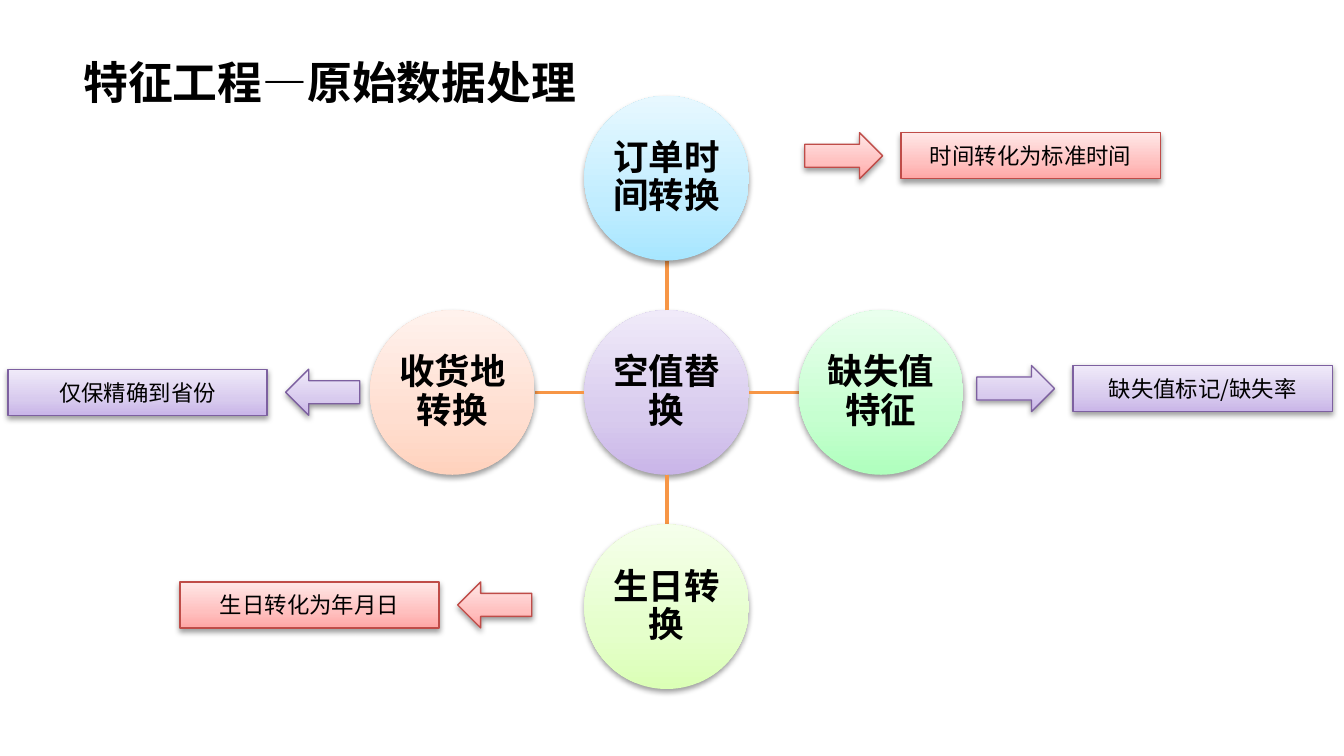
from dataclasses import dataclass

from lxml import etree
from pptx import Presentation, util as u
from pptx.dml.color import RGBColor
from pptx.enum import shapes, text
from pptx.oxml.ns import qn


@dataclass(frozen=True)
class Theme:
    font: str = "Noto Sans CJK SC"
    ink: str = "000000"
    link: str = "F79646"
    purple: tuple = ("C9B5E8", "D8CBEE", "F0EAF9")
    blue: tuple = ("A7E6FF", "C1EDFF", "E7F8FF")
    green: tuple = ("AFFFBD", "C6FFD0", "E9FFED")
    lime: tuple = ("DBFFB6", "E5FFCB", "F5FFEB")
    orange: tuple = ("FFD2BD", "FFDED0", "FFF2ED")
    red: tuple = ("FFA6A5", "FFC0BF", "FFE7E7")
    red_line: str = "BF4C48"
    purple_line: str = "7D60A0"
    title_size: int = 24
    circle_size: int = 19
    note_size: int = 12


THEME = Theme()
CENTER_X, CENTER_Y = 12.6, 7.42
DIAMETER, STEP = 3.11, 4.05
NOTE_WIDTH, NOTE_HEIGHT, NOTE_GAP = 4.9, 0.87, 0.35


def add_run(paragraph, content, size, bold=False):
    run = paragraph.add_run()
    run.text = content
    run.font.size = u.Pt(size)
    run.font.bold = bold
    run.font.color.rgb = RGBColor.from_string(THEME.ink)
    run.font.name = THEME.font
    etree.SubElement(run.font._element, qn("a:ea"), typeface=THEME.font)


def write_centered(shape, content, size, bold=False):
    frame = shape.text_frame
    frame.word_wrap = True
    frame.vertical_anchor = text.MSO_ANCHOR.MIDDLE
    paragraph = frame.paragraphs[0]
    paragraph.alignment = text.PP_ALIGN.CENTER
    add_run(paragraph, content, size, bold)
    return frame


def fill_gradient(shape, colors):
    shape.fill.gradient()
    shape.fill.gradient_angle = 90
    stops = shape._element.spPr.find(".//" + qn("a:gsLst"))
    for stop in list(stops):
        stops.remove(stop)
    for position, color in zip((0, 35000, 100000), colors):
        stop = etree.SubElement(stops, qn("a:gs"), pos=str(position))
        etree.SubElement(stop, qn("a:srgbClr"), val=color)


def add_shadow(shape):
    shape.shadow.inherit = False
    effects = shape._element.spPr.find(qn("a:effectLst"))
    shadow = etree.SubElement(
        effects, qn("a:outerShdw"), blurRad=str(u.Pt(3.1)), dist=str(u.Pt(1.6)),
        dir="5400000", rotWithShape="0")
    color = etree.SubElement(shadow, qn("a:srgbClr"), val=THEME.ink)
    etree.SubElement(color, qn("a:alpha"), val="38000")


def add_soft_shape(slide, kind, left, top, width, height, colors, line=None):
    shape = slide.shapes.add_shape(
        kind, u.Cm(left), u.Cm(top), u.Cm(width), u.Cm(height))
    fill_gradient(shape, colors)
    if line:
        shape.line.color.rgb = RGBColor.from_string(line)
        shape.line.width = u.Pt(0.75)
    else:
        shape.line.fill.background()
    add_shadow(shape)
    return shape


def add_title(slide, content):
    title = slide.shapes.title
    title.left, title.top = u.Cm(1.32), u.Cm(0.91)
    title.width, title.height = u.Cm(9.98), u.Cm(1.27)
    frame = title.text_frame
    frame.word_wrap = False
    frame.auto_size = text.MSO_AUTO_SIZE.NONE
    frame.vertical_anchor = text.MSO_ANCHOR.MIDDLE
    paragraph = frame.paragraphs[0]
    paragraph.alignment = text.PP_ALIGN.LEFT
    add_run(paragraph, content, THEME.title_size, bold=True)


def add_circle(slide, content, column, row, colors):
    left = CENTER_X + column * STEP - DIAMETER / 2
    top = CENTER_Y + row * STEP - DIAMETER / 2
    circle = add_soft_shape(
        slide, shapes.MSO_SHAPE.OVAL, left, top, DIAMETER, DIAMETER, colors)
    frame = write_centered(circle, content, THEME.circle_size, bold=True)
    frame.margin_left = frame.margin_right = u.Cm(0.03)
    frame.margin_top = frame.margin_bottom = u.Cm(0.03)
    frame.paragraphs[0].line_spacing = 0.9


def add_link(slide, column, row):
    near, far = DIAMETER / 2, STEP - DIAMETER / 2
    connector = slide.shapes.add_connector(
        shapes.MSO_CONNECTOR.STRAIGHT,
        u.Cm(CENTER_X + column * near), u.Cm(CENTER_Y + row * near),
        u.Cm(CENTER_X + column * far), u.Cm(CENTER_Y + row * far))
    connector.line.color.rgb = RGBColor.from_string(THEME.link)
    connector.line.width = u.Pt(2)
    etree.SubElement(connector._element.spPr, qn("a:effectLst"))


def add_note(slide, content, left, top, points_right, colors, line):
    if points_right:
        kind, arrow_width = shapes.MSO_SHAPE.RIGHT_ARROW, 1.47
        arrow_left, box_left = left, left + arrow_width + NOTE_GAP
    else:
        kind, arrow_width = shapes.MSO_SHAPE.LEFT_ARROW, 1.4
        arrow_left, box_left = left + NOTE_WIDTH + NOTE_GAP, left
    add_soft_shape(slide, kind, arrow_left, top, arrow_width, NOTE_HEIGHT, colors, line)
    box = add_soft_shape(slide, shapes.MSO_SHAPE.RECTANGLE, box_left, top,
                         NOTE_WIDTH, NOTE_HEIGHT, colors, line)
    write_centered(box, content, THEME.note_size)


def main():
    presentation = Presentation()
    presentation.slide_width, presentation.slide_height = u.Cm(25.4), u.Cm(14.29)
    slide = presentation.slides.add_slide(presentation.slide_layouts[5])
    add_title(slide, "特征工程—原始数据处理")

    add_circle(slide, "空值替换", 0, 0, THEME.purple)
    for content, column, row, colors in (
        ("订单时间转换", 0, -1, THEME.blue),
        ("缺失值特征", 1, 0, THEME.green),
        ("生日转换", 0, 1, THEME.lime),
        ("收货地转换", -1, 0, THEME.orange),
    ):
        add_link(slide, column, row)
        add_circle(slide, content, column, row, colors)

    red = THEME.red, THEME.red_line
    purple = THEME.purple, THEME.purple_line
    for content, left, top, points_right, palette in (
        ("时间转化为标准时间", 15.21, 2.51, True, red),
        ("缺失值标记/缺失率", 18.46, 6.91, True, purple),
        ("生日转化为年月日", 3.4, 11.0, False, red),
        ("仅保精确到省份", 0.15, 6.98, False, purple),
    ):
        add_note(slide, content, left, top, points_right, *palette)

    presentation.save("out.pptx")


if __name__ == "__main__":
    main()
